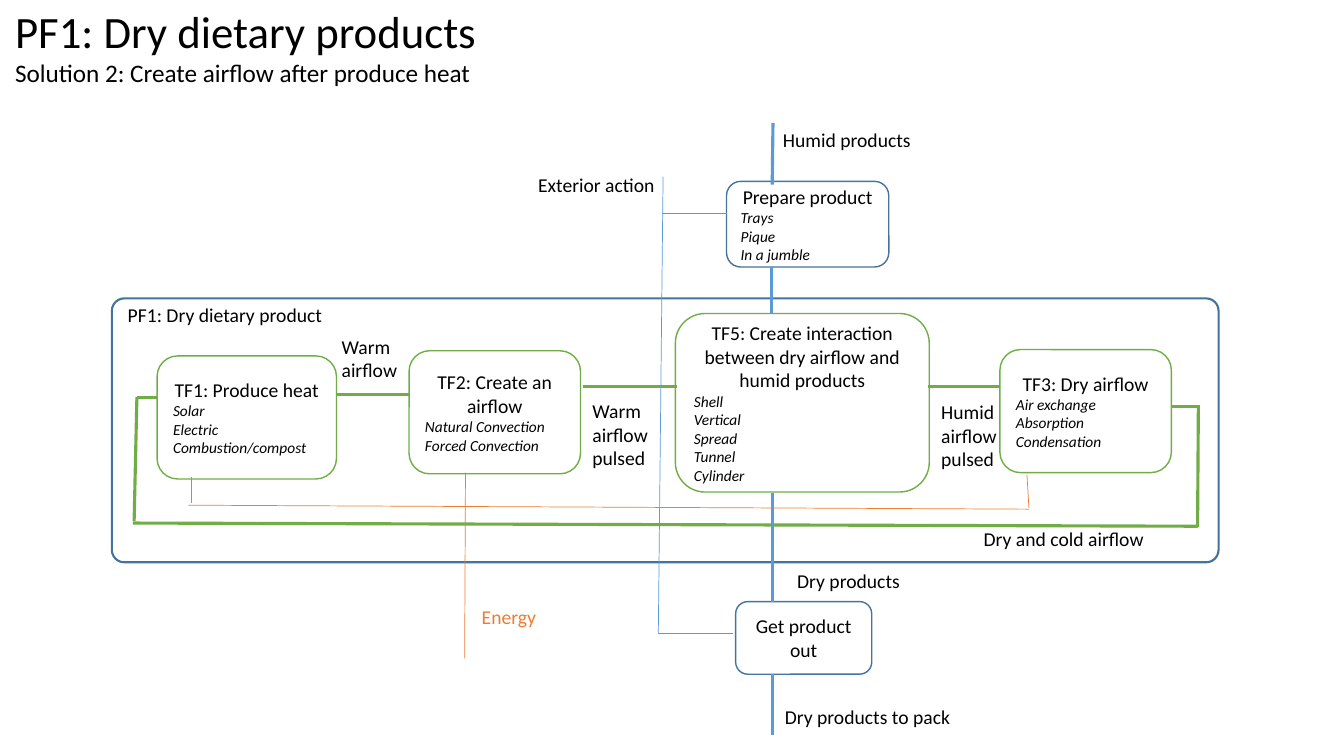
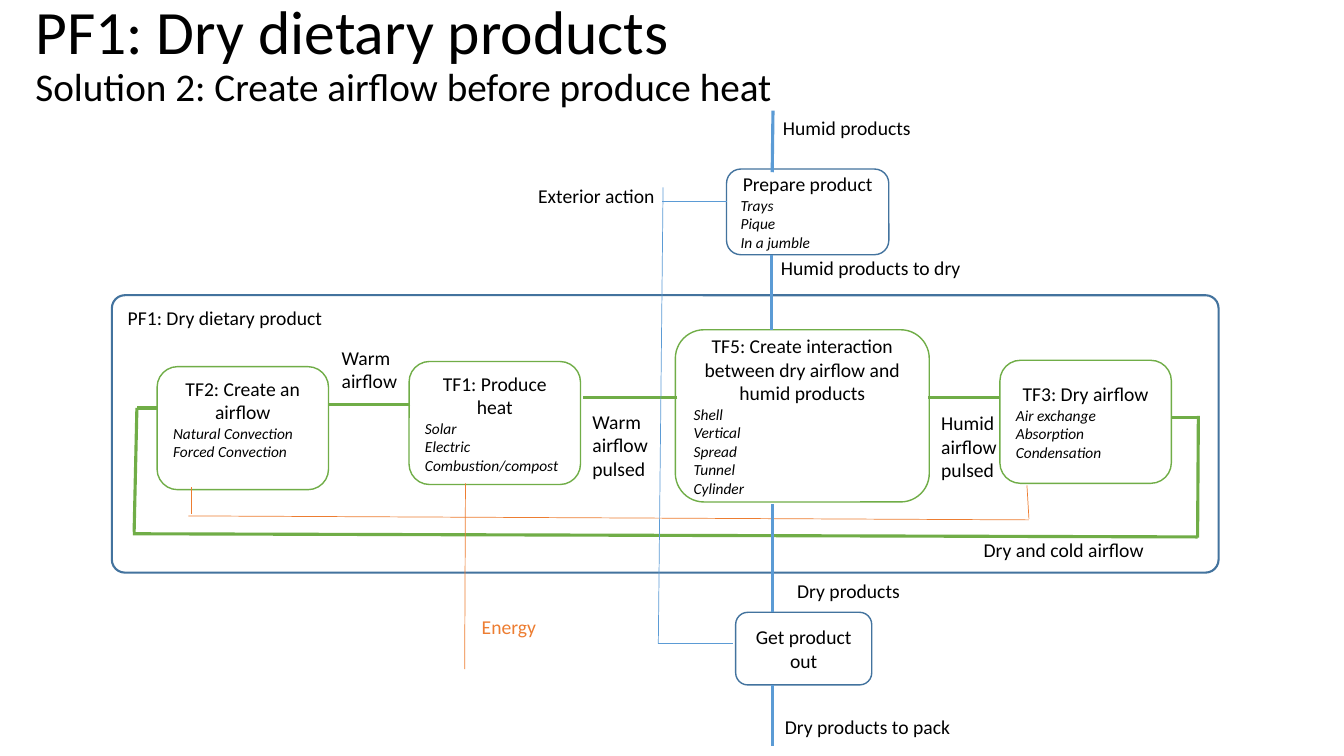
from lxml.etree import SubElement
from pptx import Presentation
from pptx.dml.color import RGBColor
from pptx.enum.shapes import MSO_CONNECTOR, MSO_SHAPE
from pptx.enum.text import MSO_ANCHOR, PP_ALIGN
from pptx.oxml.ns import qn
from pptx.util import Cm, Pt

COLORS = {"text": "000000", "frame": "43739E", "air": "70AD47",
          "energy": "ED7D31", "product": "5B9BD5"}
FONT = "Calibri"
PRODUCE_HEAT = ["TF1: Produce heat", "Solar", "Electric", "Combustion/compost"]
CREATE_AIRFLOW = ["TF2: Create an airflow", "Natural Convection", "Forced Convection"]
DRY_AIRFLOW = ["TF3: Dry airflow", "Air exchange", "Absorption", "Condensation"]
INTERACTION = ["TF5: Create interaction between dry airflow and humid products",
               "Shell", "Vertical", "Spread", "Tunnel", "Cylinder"]
PREPARE = ["Prepare product", "Trays", "Pique", "In a jumble"]

SLIDES = [
    {"subtitle": "Solution 2: Create airflow after produce heat",
     "title_area": (0.13, -0.03, 16.94, 2.39), "title_sizes": (32, 18),
     "title_anchor": MSO_ANCHOR.TOP, "title_spacing": 1.0,
     "drop": 0, "lift": 0, "frame": (7.52, 6.65), "frame_label": 7.52,
     "first": PRODUCE_HEAT, "second": CREATE_AIRFLOW, "first_width": 4.52,
     "first_bottom": 0.13, "interaction": (7.9, 4.5), "extra_labels": []},
    {"subtitle": "Solution 2: Create airflow before produce heat",
     "title_area": (0.64, -0.79, 29.21, 3.68), "title_sizes": (44, 28),
     "title_anchor": MSO_ANCHOR.BOTTOM, "title_spacing": 0.9,
     "drop": 0.27, "lift": -0.31, "frame": (7.44, 6.99), "frame_label": 7.59,
     "first": CREATE_AIRFLOW, "second": PRODUCE_HEAT, "first_width": 4.32,
     "first_bottom": 0.6, "interaction": (8.31, 4.34),
     "extra_labels": [("Humid products to dry", 19.43, 6.32, 5.87, 0.86, "text")]},
]


def add_span(para, text, size, color="text", italic=False):
    span = para.add_run()
    span.text = text
    span.font.name = FONT
    span.font.size = Pt(size)
    span.font.italic = italic
    span.font.color.rgb = RGBColor.from_string(COLORS[color])


def add_text(page, area, lines, sizes, color="text"):
    box = page.shapes.add_textbox(*[Cm(length) for length in area])
    box.text_frame.word_wrap = True
    for number, (line, size) in enumerate(zip(lines, sizes)):
        para = box.text_frame.add_paragraph() if number else box.text_frame.paragraphs[0]
        add_span(para, line, size, color)
    return box


deck = Presentation()
deck.slide_width, deck.slide_height = Cm(33.87), Cm(19.05)

for content in SLIDES:
    page = deck.slides.add_slide(deck.slide_layouts[6])
    drop, lift = content["drop"], content["lift"]
    frame_top, frame_height = content["frame"]
    core_top, core_height = content["interaction"]
    first_right = 3.96 + content["first_width"]

    boxes = [
        ([], 2.82, frame_top, 27.89, frame_height, "frame", 1.5),
        (content["first"], 3.96, 8.97 + drop, content["first_width"], 3.1, "air", 1),
        (content["second"], 10.31, 8.84 + drop, 4.32, 3.1, "air", 1),
        (DRY_AIRFLOW, 25.2, 8.81 + drop, 4.32, 3.1, "air", 1),
        (INTERACTION, 17.02, core_top, 6.4, core_height, "air", 1),
        (PREPARE, 18.31, 4.57 + lift, 4.09, 2.16, "frame", 1),
        (["Get product out"], 18.54, 15.16 + drop, 3.43, 1.83, "frame", 1),
    ]
    for lines, left, top, width, height, color, weight in boxes:
        box = page.shapes.add_shape(MSO_SHAPE.ROUNDED_RECTANGLE,
                                    Cm(left), Cm(top), Cm(width), Cm(height))
        box.shadow.inherit = False
        box.fill.background()
        box.line.color.rgb = RGBColor.from_string(COLORS[color])
        box.line.width = Pt(weight)
        if not lines:
            box.adjustments[0] = 0.047
        text_frame = box.text_frame
        text_frame.word_wrap = True
        text_frame.vertical_anchor = MSO_ANCHOR.MIDDLE
        if lines is content["first"]:
            text_frame.margin_bottom = Cm(content["first_bottom"])
        for number, line in enumerate(lines):
            para = text_frame.add_paragraph() if number else text_frame.paragraphs[0]
            para.alignment = PP_ALIGN.LEFT if number else PP_ALIGN.CENTER
            add_span(para, line, 11 if number else 14, italic=number > 0)

    flows = [
        ("air", 2.25, drop, [
            (3.96, 10.01, 3.45, 10.01), (10.34, 9.93, first_right, 9.93),
            (17.07, 9.75, 14.68, 9.75), (25.2, 9.75, 23.39, 9.75),
            (30.18, 10.24, 29.54, 10.24), (30.18, 13.26, 3.35, 13.18),
            (30.18, 13.28, 30.2, 10.21), (3.38, 13.13, 3.45, 10.01)]),
        ("energy", 0.5, drop, [
            (4.83, 12.67, 4.83, 12.01), (11.71, 16.59, 11.73, 11.91),
            (25.93, 12.83, 4.75, 12.73), (25.93, 12.8, 25.88, 11.96)]),
        ("product", 2.25, drop, [
            (19.46, 15.16, 19.46, 12.42), (19.46, 18.52, 19.46, 16.99)]),
        ("product", 2.25, lift, [(19.46, 4.65, 19.48, 3.1)]),
        ("product", 2.25, 0, [(19.44, core_top, 19.44, 6.73 + lift)]),
        ("product", 0.5, drop, [
            (16.59, 15.95, 16.71, 4.45), (18.47, 15.95, 16.59, 15.95)]),
        ("product", 0.5, lift, [(18.31, 5.38, 16.69, 5.38)]),
    ]
    for color, weight, shift, segments in flows:
        for start_x, start_y, end_x, end_y in segments:
            line = page.shapes.add_connector(
                MSO_CONNECTOR.STRAIGHT, Cm(start_x), Cm(start_y + shift),
                Cm(end_x), Cm(end_y + shift))
            line.line.color.rgb = RGBColor.from_string(COLORS[color])
            line.line.width = Pt(weight)
            SubElement(line._element.spPr, qn("a:effectLst"))

    labels = [
        ("Energy", 11.89, 15.11 + drop, 2.95, 0.86, "energy"),
        ("Warm airflow", 8.36, 8.31 + drop, 1.96, 1.45, "text"),
        ("Warm airflow pulsed", 14.68, 9.93 + drop, 3.02, 2.06, "text"),
        ("Humid airflow pulsed", 23.47, 9.96 + drop, 2.79, 2.06, "text"),
        ("Dry and cold airflow", 24.54, 13.16 + drop, 6.07, 0.86, "text"),
        ("Dry products to pack", 19.53, 17.63 + drop, 4.98, 0.86, "text"),
        ("Dry products", 19.84, 14.2 + drop, 5.23, 0.86, "text"),
        ("Exterior action", 13.31, 4.24 + drop, 3.99, 0.86, "text"),
        ("Humid products", 19.48, 3.1 + lift, 3.91, 0.86, "text"),
        ("PF1: Dry dietary product", 2.97, content["frame_label"], 5.87, 0.86, "text"),
    ] + content["extra_labels"]
    for text, left, top, width, height, color in labels:
        add_text(page, (left, top, width, height), [text], [14], color)

    title = add_text(page, content["title_area"],
                     ["PF1: Dry dietary products", content["subtitle"]],
                     content["title_sizes"])
    title.text_frame.vertical_anchor = content["title_anchor"]
    for para in title.text_frame.paragraphs:
        para.line_spacing = content["title_spacing"]

deck.save("out.pptx")
